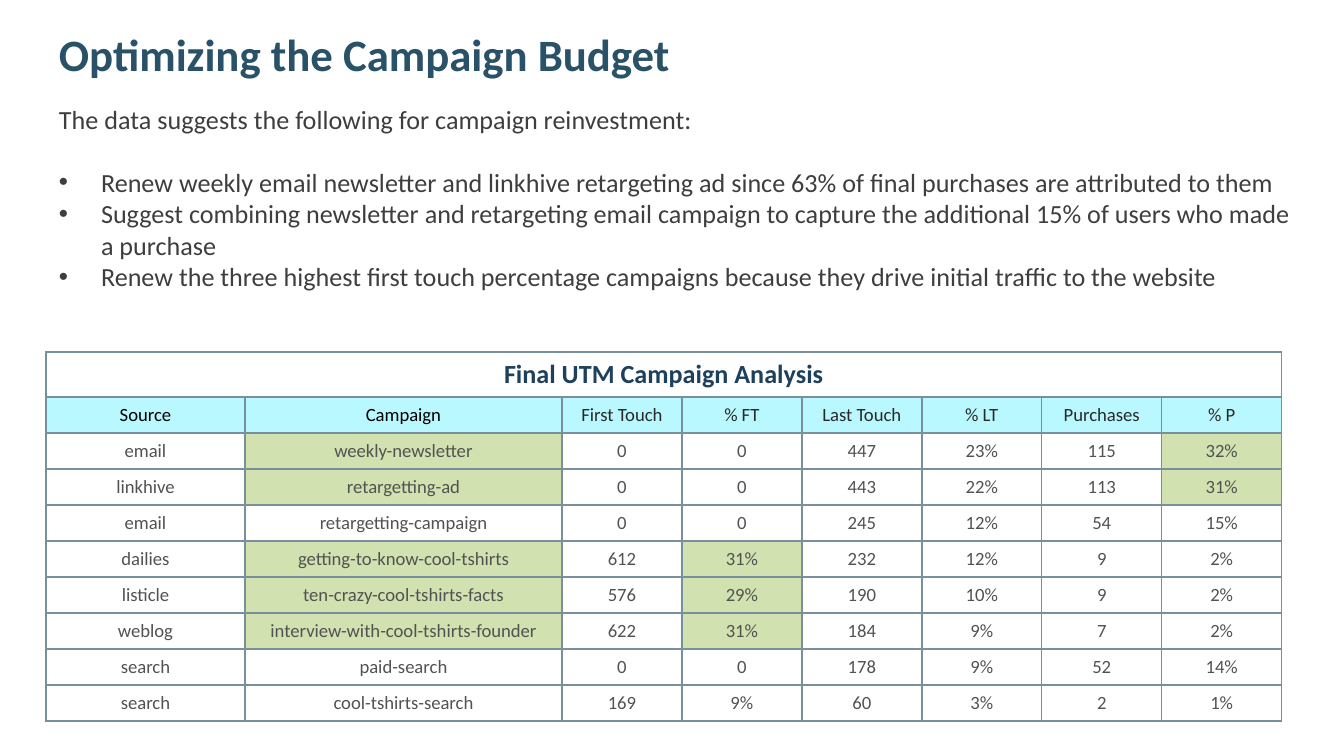
from lxml import etree
from pptx import Presentation
from pptx.dml.color import RGBColor
from pptx.enum.text import MSO_ANCHOR, PP_ALIGN
from pptx.oxml.ns import qn
from pptx.util import Pt

PX = 9144000 / 1344
MIDDLE, BOTTOM, TOP = MSO_ANCHOR.MIDDLE, MSO_ANCHOR.BOTTOM, MSO_ANCHOR.TOP
CENTER = PP_ALIGN.CENTER
WHITE, CYAN, GREEN = "FFFFFF", "BAF8FF", "D2E1B0"
BORDER = "78909C"


def px(length):
    return round(length * PX)


def style(para, size, color, bold=False):
    for span in para.runs:
        span.font.name = "Calibri"
        span.font.size = Pt(size)
        span.font.bold = bold
        span.font.color.rgb = RGBColor.from_string(color)


deck = Presentation()
deck.slide_width, deck.slide_height = px(1344), px(756)
page = deck.slides.add_slide(deck.slide_layouts[6])

title = "Optimizing the Campaign Budget"
intro = "The data suggests the following for campaign reinvestment:"
bullets = [
    "Renew weekly email newsletter and linkhive retargeting ad since 63% of final purchases are attributed to them",
    "Suggest combining newsletter and retargeting email campaign to capture the additional 15% of users who made a purchase",
    "Renew the three highest first touch percentage campaigns because they drive initial traffic to the website",
]
text_boxes = [
    (16, 1253, 78, BOTTOM, [title], 24, "295269", True),
    (90, 1270, 77, TOP, [intro] + bullets, 14, "3E3E40", False),
]
for top, width, height, anchor, lines, size, color, bold in text_boxes:
    box = page.shapes.add_textbox(px(46), px(top), px(width), px(height))
    frame = box.text_frame
    frame.word_wrap = True
    frame.vertical_anchor = anchor
    frame.margin_left = frame.margin_right = px(13)
    frame.margin_top = frame.margin_bottom = px(13)
    frame.text = "\n".join(lines)
    for index, para in enumerate(frame.paragraphs):
        if index > 0:
            properties = para._p.get_or_add_pPr()
            properties.set("marL", str(px(42)))
            properties.set("indent", str(px(-42)))
            etree.SubElement(properties, qn("a:buFont"), typeface="Arial")
            etree.SubElement(properties, qn("a:buChar"), char="•")
        if index == 1:
            para.space_before = Pt(17)
        style(para, size, color, bold)

rows = [
    ["Final UTM Campaign Analysis"] + [""] * 7,
    ["Source", "Campaign", "First Touch", "% FT", "Last Touch", "% LT", "Purchases", "% P"],
    ["email", "weekly-newsletter", "0", "0", "447", "23%", "115", "32%"],
    ["linkhive", "retargetting-ad", "0", "0", "443", "22%", "113", "31%"],
    ["email", "retargetting-campaign", "0", "0", "245", "12%", "54", "15%"],
    ["dailies", "getting-to-know-cool-tshirts", "612", "31%", "232", "12%", "9", "2%"],
    ["listicle", "ten-crazy-cool-tshirts-facts", "576", "29%", "190", "10%", "9", "2%"],
    ["weblog", "interview-with-cool-tshirts-founder", "622", "31%", "184", "9%", "7", "2%"],
    ["search", "paid-search", "0", "0", "178", "9%", "52", "14%"],
    ["search", "cool-tshirts-search", "169", "9%", "60", "3%", "2", "1%"],
]
highlights = {2: (1, 7), 3: (1, 7), 5: (1, 3), 6: (1, 3), 7: (1, 3)}
column_widths = [199, 317] + [120] * 6
row_heights = [45] + [36] * 9

table = page.shapes.add_table(
    len(rows), len(column_widths), px(46), px(352),
    px(sum(column_widths)), px(sum(row_heights)),
).table
for column, width in zip(table.columns, column_widths):
    column.width = px(width)
for row, height in zip(table.rows, row_heights):
    row.height = px(height)
table.cell(0, 0).merge(table.cell(0, 7))

for r, values in enumerate(rows):
    for c, value in enumerate(values):
        cell = table.cell(r, c)
        size, color, fill, bold = 10, "525252", WHITE, False
        if r == 0:
            size, color, bold = 14, "1D405D", True
        elif r == 1:
            color, fill = "000000" if c < 2 else "292929", CYAN
        elif c in highlights.get(r, ()):
            fill = GREEN

        cell.vertical_anchor = MIDDLE
        cell.margin_top = cell.margin_bottom = px(6)
        properties = cell._tc.get_or_add_tcPr()
        for side in ("a:lnL", "a:lnR", "a:lnT", "a:lnB"):
            line = etree.SubElement(properties, qn(side), w=str(Pt(1)))
            paint = etree.SubElement(line, qn("a:solidFill"))
            etree.SubElement(paint, qn("a:srgbClr"), val=BORDER)
        cell.fill.solid()
        cell.fill.fore_color.rgb = RGBColor.from_string(fill)

        if value:
            cell.text_frame.text = value
            para = cell.text_frame.paragraphs[0]
            para.alignment = CENTER
            style(para, size, color, bold)

deck.save("out.pptx")
